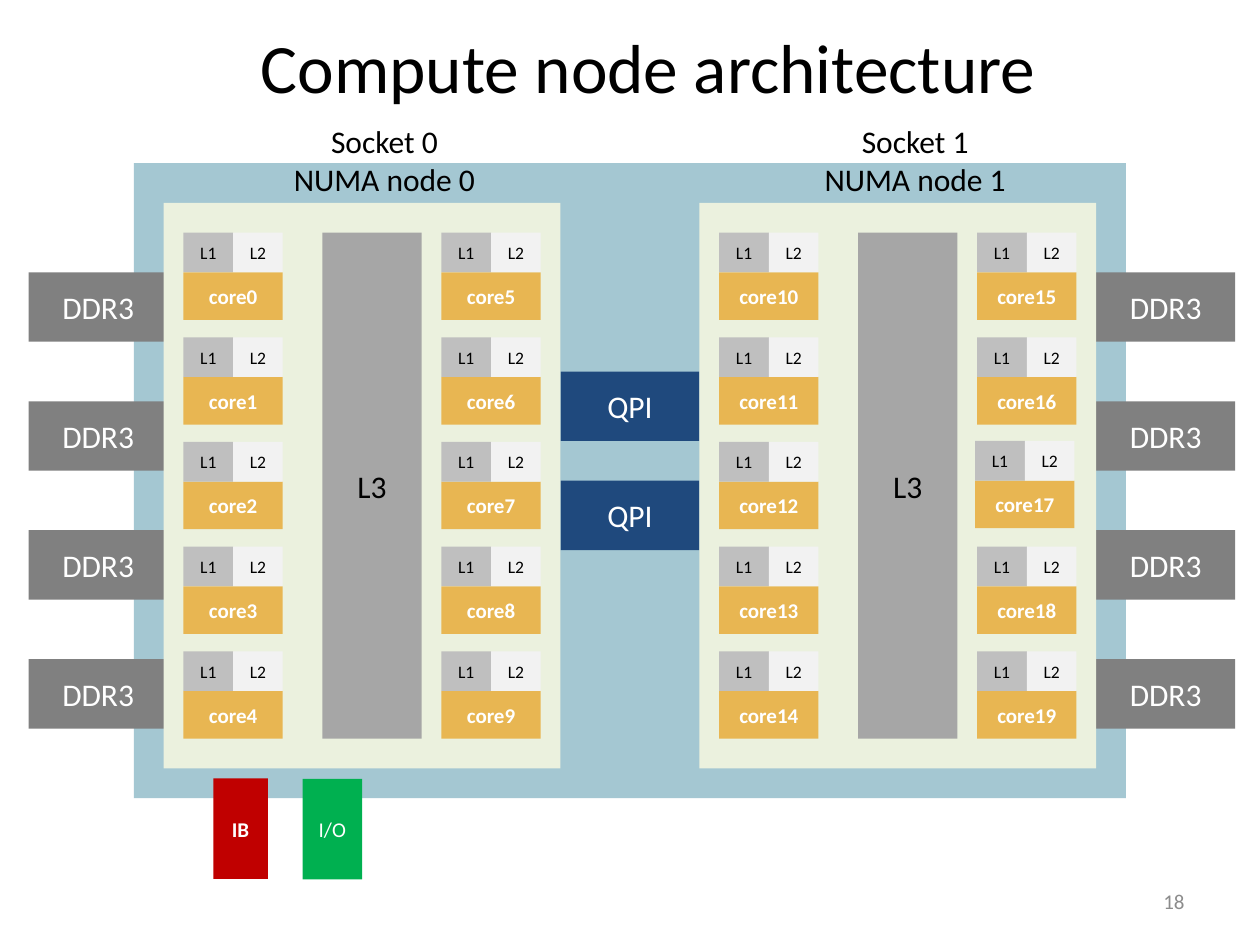
import pptx
import pptx.dml.color
import pptx.enum.shapes
import pptx.enum.text
import pptx.oxml
import pptx.oxml.ns
import pptx.util

ALIGN = pptx.enum.text.PP_ALIGN
MIDDLE = pptx.enum.text.MSO_ANCHOR.MIDDLE

# One grid unit is a millimetre, measured from the board's top left corner.
BOARD_LEFT, BOARD_TOP = 27, 32.9
BOARD_WIDTH, BOARD_HEIGHT = 200, 128
SOCKET_WIDTH, SOCKET_HEIGHT, SOCKET_TOP, SOCKET_INSET = 80, 114, 8, 6
SOCKET_PITCH = BOARD_WIDTH - 2 * SOCKET_INSET - SOCKET_WIDTH
CONTENT_TOP, L3_HEIGHT = SOCKET_TOP + 6, 102
CORE_WIDTH, CORE_HEIGHT, CACHE_HEIGHT = 20, 9.6, 8
CORES_PER_COLUMN = 5
CORE_PITCH = (L3_HEIGHT - CACHE_HEIGHT - CORE_HEIGHT) / (CORES_PER_COLUMN - 1)
LINK_WIDTH, LINK_HEIGHT = 28, 14


def add_text(shape, lines, size, color, bold=False, align=ALIGN.CENTER):
    frame = shape.text_frame
    for index, line in enumerate(lines):
        paragraph = frame.paragraphs[0] if index == 0 else frame.add_paragraph()
        paragraph.alignment = align
        run = paragraph.add_run()
        run.text = line
        run.font.name = "Calibri"
        run.font.size = pptx.util.Pt(size)
        run.font.bold = bold
        run.font.color.rgb = pptx.dml.color.RGBColor.from_string(color)


def add_block(shapes, left, top, width, height, fill, label="", size=18,
              color="FFFFFF", bold=False):
    """Add a borderless rectangle placed in board millimetres."""
    block = shapes.add_shape(
        pptx.enum.shapes.MSO_SHAPE.RECTANGLE,
        pptx.util.Mm(BOARD_LEFT + left), pptx.util.Mm(BOARD_TOP + top),
        pptx.util.Mm(width), pptx.util.Mm(height))
    block.shadow.inherit = False
    block.fill.solid()
    block.fill.fore_color.rgb = pptx.dml.color.RGBColor.from_string(fill)
    block.line.fill.background()
    if label:
        block.text_frame.margin_left = block.text_frame.margin_right = 0
        block.text_frame.vertical_anchor = MIDDLE
        add_text(block, [label], size, color, bold)
    return block


presentation = pptx.Presentation()
presentation.slide_width = pptx.util.Inches(10)
presentation.slide_height = pptx.util.Inches(7.5)
slide = presentation.slides.add_slide(presentation.slide_layouts[5])

title = slide.shapes.title
title.left, title.top = pptx.util.Inches(0.59), pptx.util.Inches(0.2)
title.width, title.height = pptx.util.Inches(9.11), pptx.util.Inches(0.64)
title.text_frame.vertical_anchor = MIDDLE
add_text(title, ["Compute node architecture"], 39.6, "000000")

board = add_block(slide.shapes, 0, 0, BOARD_WIDTH, BOARD_HEIGHT, "116E8A")
board_color = board.fill._xPr.find(".//" + pptx.oxml.ns.qn("a:srgbClr"))
board_color.append(pptx.oxml.parse_xml(
    f'<a:alpha {pptx.oxml.ns.nsdecls("a")} val="38000"/>'))

# Memory channels on both sides
for memory_left in (SOCKET_INSET - LINK_WIDTH + 0.8, BOARD_WIDTH - SOCKET_INSET):
    memory = slide.shapes.add_group_shape()
    for channel in range(4):
        add_block(memory.shapes, memory_left, 22 + 26 * channel,
                  LINK_WIDTH, LINK_HEIGHT, "808080", "DDR3")

# Links between the sockets
for link in range(2):
    add_block(slide.shapes, SOCKET_INSET + SOCKET_WIDTH, 42 + 22 * link,
              LINK_WIDTH, LINK_HEIGHT, "1F497D", "QPI")

for socket in range(2):
    socket_left = SOCKET_INSET + socket * SOCKET_PITCH
    heading = slide.shapes.add_textbox(
        pptx.util.Mm(BOARD_LEFT + socket_left + 21 - socket),
        pptx.util.Inches(0.92), pptx.util.Inches(1.85), pptx.util.Inches(1.01))
    heading.text_frame.word_wrap = True
    add_text(heading, [f"Socket {socket}", f"NUMA node {socket}"], 18, "000000")

for socket in range(2):
    socket_left = SOCKET_INSET + socket * SOCKET_PITCH
    shapes = slide.shapes.add_group_shape().shapes
    add_block(shapes, socket_left, SOCKET_TOP, SOCKET_WIDTH, SOCKET_HEIGHT, "EBF1DE")
    add_block(shapes, socket_left + 32, CONTENT_TOP, CORE_WIDTH, L3_HEIGHT,
              "A6A6A6", "L3", color="000000")
    for column, core_offset in enumerate((4, 56)):
        for row in range(CORES_PER_COLUMN):
            core = (2 * socket + column) * CORES_PER_COLUMN + row
            left = socket_left + core_offset
            top = CONTENT_TOP + row * CORE_PITCH
            if core == 17:  # sits slightly off the grid
                left, top = left - 0.4, top - 0.2
            add_block(shapes, left, top + CACHE_HEIGHT, CORE_WIDTH, CORE_HEIGHT,
                      "E8B652", f"core{core}", 12, bold=True)
            for cache, (label, fill) in enumerate((("L1", "BFBFBF"), ("L2", "F2F2F2"))):
                add_block(shapes, left + cache * CORE_WIDTH / 2, top,
                          CORE_WIDTH / 2, CACHE_HEIGHT, fill, label, 10, "000000")

add_block(slide.shapes, 16, 124, 11, 20.3, "C00000", "IB", 12, bold=True)
add_block(slide.shapes, 34, 124.1, 12, 20.3, "00B050", "I/O", 12)

slide_number = slide.shapes.add_textbox(
    pptx.util.Inches(7.17), pptx.util.Inches(6.95),
    pptx.util.Inches(2.33), pptx.util.Inches(0.4))
slide_number.text_frame.word_wrap = True
slide_number.text_frame.vertical_anchor = MIDDLE
add_text(slide_number, ["18"], 12, "8C8C8C", align=ALIGN.RIGHT)

presentation.save("out.pptx")
